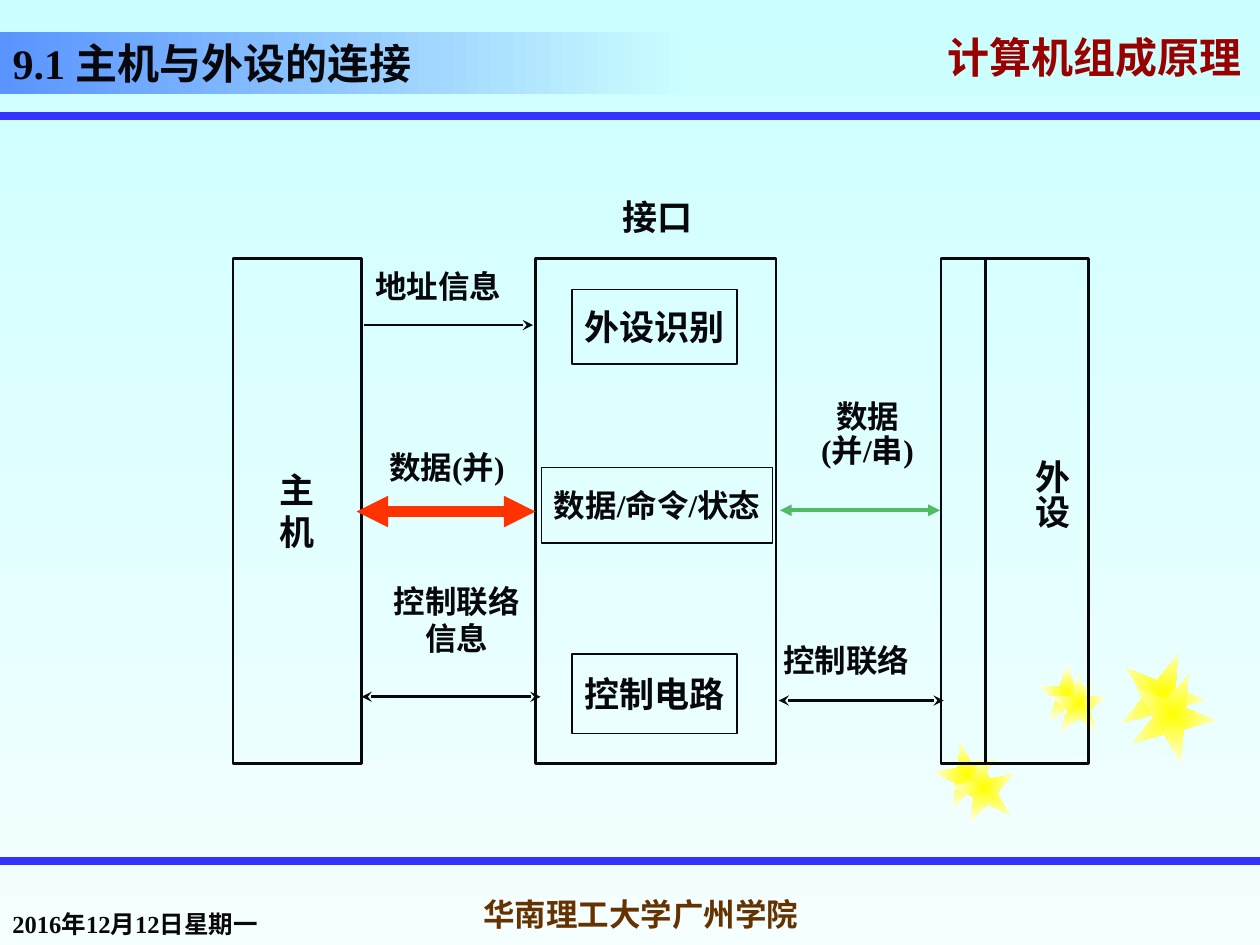
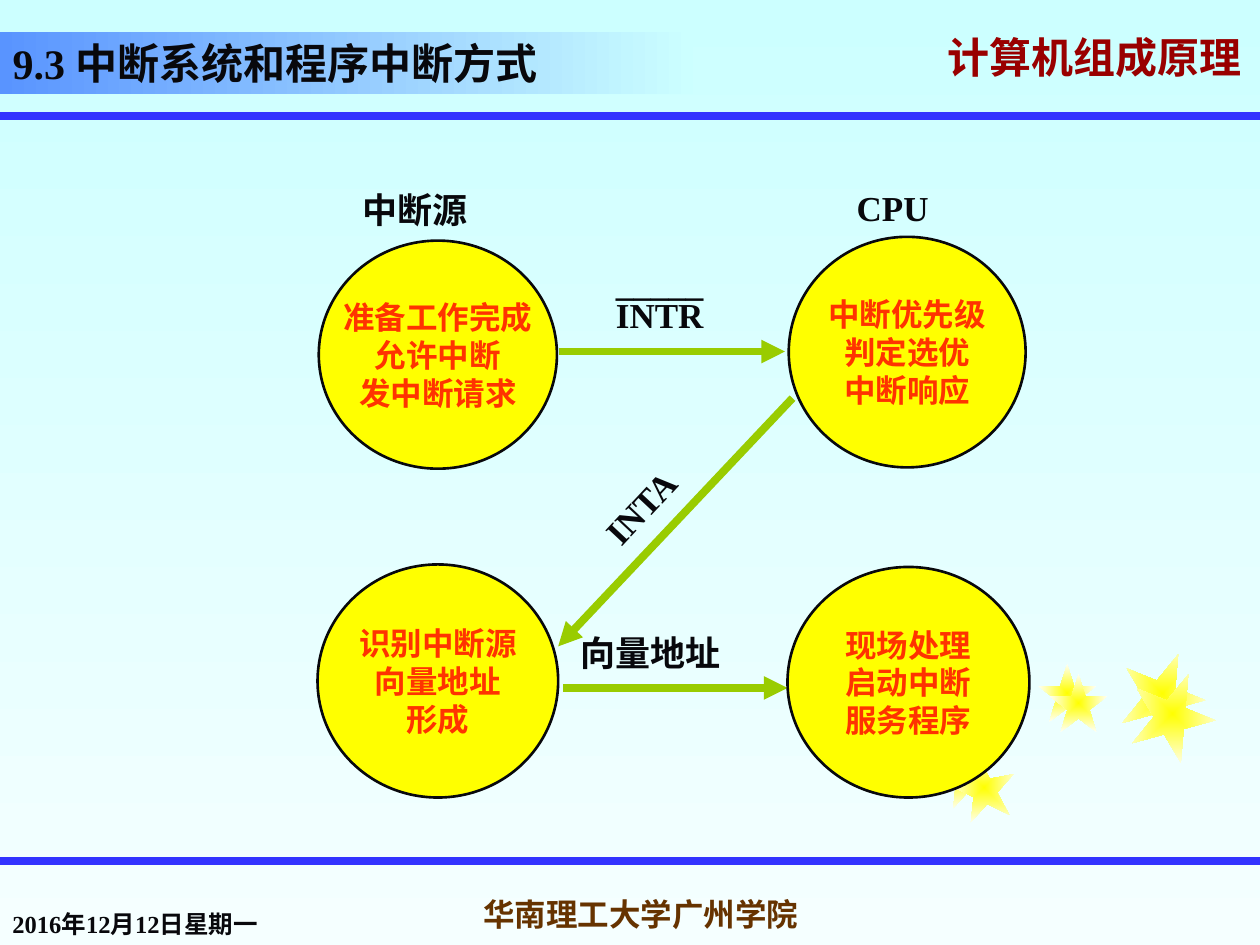
from lxml import etree
from pptx import Presentation
from pptx.dml.color import RGBColor
from pptx.enum.shapes import MSO_CONNECTOR, MSO_SHAPE
from pptx.enum.text import MSO_ANCHOR, MSO_AUTO_SIZE, PP_ALIGN
from pptx.oxml.ns import qn
from pptx.util import Inches, Pt

RECT, OVAL, STAR = MSO_SHAPE.RECTANGLE, MSO_SHAPE.OVAL, MSO_SHAPE.STAR_5_POINT
STRAIGHT = MSO_CONNECTOR.STRAIGHT
LEFT, CENTER, JUSTIFY = PP_ALIGN.LEFT, PP_ALIGN.CENTER, PP_ALIGN.JUSTIFY
TOP, MIDDLE, BOTTOM = MSO_ANCHOR.TOP, MSO_ANCHOR.MIDDLE, MSO_ANCHOR.BOTTOM

INK = RGBColor(0x08, 0x08, 0x0C)
SKY = RGBColor(0xCC, 0xFF, 0xFF)
PALE = RGBColor(0xF5, 0xFF, 0xFF)
BAND_BLUE = RGBColor(0x59, 0x94, 0xFF)
RULE_BLUE = RGBColor(0x33, 0x33, 0xFF)
DARK_RED = RGBColor(0x99, 0x00, 0x00)
BROWN = RGBColor(0x66, 0x33, 0x00)
YELLOW = RGBColor(0xFF, 0xFF, 0x00)
CREAM = RGBColor(0xFF, 0xFF, 0xF5)
RED = RGBColor(0xFF, 0x33, 0x00)
GREEN = RGBColor(0x51, 0xBB, 0x63)
LIME = RGBColor(0x99, 0xCC, 0x00)
LATIN, CJK = "Times New Roman", "Noto Sans CJK SC"


def write(sp, text, size=18, color=INK, align=LEFT, anchor=TOP, wrap=True,
          spacing=None, leading=None, shadow=False):
    tf = sp.text_frame
    tf.auto_size = MSO_AUTO_SIZE.NONE
    tf.word_wrap = wrap
    tf.vertical_anchor = anchor
    for i, words in enumerate(text.split("\n")):
        p = tf.add_paragraph() if i else tf.paragraphs[0]
        p.alignment = align
        if spacing:
            p.line_spacing = spacing
        if i and leading:
            p.line_spacing = leading
            p.space_before = Pt(size / 2)
        r = p.add_run()
        r.text = words
        r.font.size = Pt(size)
        r.font.bold = True
        r.font.color.rgb = color
        rPr = r.font._element
        if shadow:
            effects = etree.SubElement(rPr, qn("a:effectLst"))
            shade = etree.SubElement(effects, qn("a:outerShdw"),
                                     dist="38100", dir="2700000")
            etree.SubElement(shade, qn("a:srgbClr"), val="808080")
        r.font.name = LATIN
        rPr.find(qn("a:latin")).addnext(rPr.makeelement(qn("a:ea"), {"typeface": CJK}))


def line(s, x1, y1, x2, y2, color=INK, width=1.5, head=None, tail=None):
    c = s.shapes.add_connector(STRAIGHT, Inches(x1), Inches(y1), Inches(x2), Inches(y2))
    c.line.color.rgb = color
    c.line.width = Pt(width)
    ln = c.line._get_or_add_ln()
    for tag, kind in (("a:headEnd", head), ("a:tailEnd", tail)):
        if kind:
            etree.SubElement(ln, qn(tag), type=kind)
    etree.SubElement(c._element.spPr, qn("a:effectLst"))


prs = Presentation()
prs.slide_width, prs.slide_height = Inches(10), Inches(7.5)
gradients = [(prs.slide_master.background.fill, SKY, PALE, 270)]

stars = [
    (7.42, 5.89, 0.5, 349), (8.24, 5.27, 0.46, 0), (8.89, 5.17, 0.67, 22),
    (7.56, 6, 0.5, 349), (8.33, 5.35, 0.46, 0), (8.97, 5.33, 0.67, 22),
]
shared_texts = [
    ("计算机组成原理", 7.42, 0.25, 2.58,
     dict(size=24, color=DARK_RED, anchor=MIDDLE, spacing=0.7, shadow=True)),
    ("2016年12月12日星期一", 0, 7, 2.21, dict(size=14, anchor=BOTTOM)),
    ("华南理工大学广州学院", 3.5, 7, 3.17,
     dict(color=BROWN, align=CENTER, anchor=MIDDLE, wrap=False)),
]
slides = []
for heading in ("9.1 主机与外设的连接", "9.3 中断系统和程序中断方式"):
    s = prs.slides.add_slide(prs.slide_layouts[5])
    slides.append(s)
    title = s.shapes.title
    title.left, title.top = Inches(0), Inches(0.25)
    title.width, title.height = Inches(5.5), Inches(0.5)
    gradients.append((title.fill, BAND_BLUE, SKY, 0))
    write(title, heading, size=24, align=JUSTIFY, anchor=BOTTOM)
    for y in (0.92, 6.83):
        line(s, 0, y, 10, y, RULE_BLUE, 4.5)
    for x, y, side, angle in stars:
        sp = s.shapes.add_shape(STAR, Inches(x), Inches(y), Inches(side), Inches(side))
        sp.rotation = angle
        sp.shadow.inherit = False
        sp.line.fill.background()
        gradients.append((sp.fill, YELLOW, CREAM, None))
    for text, x, y, w, fmt in shared_texts:
        sp = s.shapes.add_textbox(Inches(x), Inches(y), Inches(w), Inches(0.5))
        write(sp, text, **fmt)

for fill, start, end, angle in gradients:
    fill.gradient()
    for stop, color in zip(fill.gradient_stops, (start, end)):
        stop.color.rgb = color
    if angle is not None:
        fill.gradient_angle = angle
    else:
        lin = fill._fill._gradFill.find(qn("a:lin"))
        path = lin.makeelement(qn("a:path"), {"path": "shape"})
        etree.SubElement(path, qn("a:fillToRect"), l="50000", t="50000", r="50000", b="50000")
        lin.getparent().replace(lin, path)

s = slides[0]
boxes = [
    ("主\n机", 1.85, 2.05, 1.02, 4.01, 1.5, 20),
    ("", 7.47, 2.05, 1.17, 4.01, 1.5, 20),
    ("", 4.25, 2.05, 1.91, 4.01, 1.5, 20),
    ("外设识别", 4.54, 2.3, 1.31, 0.59, 0.75, 20),
    ("数据/命令/状态", 4.3, 3.71, 1.83, 0.6, 0.75, 18),
    ("控制电路", 4.54, 5.19, 1.31, 0.63, 0.75, 20),
]
for text, x, y, w, h, width, size in boxes:
    sp = s.shapes.add_shape(RECT, Inches(x), Inches(y), Inches(w), Inches(h))
    sp.shadow.inherit = False
    sp.fill.background()
    sp.line.color.rgb = INK
    sp.line.width = Pt(width)
    if text:
        write(sp, text, size=size, align=CENTER, anchor=MIDDLE, wrap=False)

line(s, 7.82, 2.05, 7.82, 6.06)
line(s, 2.89, 2.58, 4.23, 2.58, tail="stealth")
line(s, 2.87, 5.53, 4.29, 5.53, head="stealth", tail="stealth")
line(s, 6.18, 5.56, 7.49, 5.56, head="stealth", tail="stealth")
line(s, 2.83, 4.06, 4.25, 4.06, RED, 6, head="triangle", tail="triangle")
line(s, 6.19, 4.05, 7.46, 4.05, GREEN, 2.25, head="triangle", tail="triangle")

labels = [
    ("接口", 4.84, 1.5, 1.47, 0.43, dict(size=20)),
    ("地址信息", 2.88, 2.07, 1.64, 0.4, {}),
    ("数据(并)", 2.99, 3.51, 1.53, 0.4, {}),
    ("控制联络\n信息", 2.68, 4.57, 1.89, 0.7, dict(align=CENTER, leading=0.5)),
    ("数据\n(并/串)", 6.26, 3.1, 1.25, 0.67, dict(align=CENTER, leading=0.4)),
    ("控制联络", 6.12, 5.04, 1.9, 0.4, {}),
    ("外设", 8.02, 3.55, 0.54, 2.44, dict(size=20)),
]
for text, x, y, w, h, fmt in labels:
    sp = s.shapes.add_textbox(Inches(x), Inches(y), Inches(w), Inches(h))
    write(sp, text, **fmt)
    if h > w:
        sp.text_frame._txBody.bodyPr.set("vert", "eaVert")

s = slides[1]
line(s, 4.47, 5.46, 6.25, 5.46, LIME, 4.5, tail="triangle")
line(s, 6.29, 3.16, 4.43, 5.13, LIME, 4.5, tail="triangle")
line(s, 4.44, 2.79, 6.23, 2.79, LIME, 4.5, tail="triangle")

steps = [
    ("准备工作完成\n允许中断\n发中断请求", 2.53, 1.91, 1.89, 1.81),
    ("中断优先级\n判定选优\n中断响应", 6.26, 1.88, 1.88, 1.83),
    ("识别中断源\n向量地址\n形成", 2.52, 4.48, 1.91, 1.85),
    ("现场处理\n启动中断\n服务程序", 6.25, 4.5, 1.92, 1.83),
]
for text, x, y, w, h in steps:
    sp = s.shapes.add_shape(OVAL, Inches(x), Inches(y), Inches(w), Inches(h))
    sp.shadow.inherit = False
    sp.fill.solid()
    sp.fill.fore_color.rgb = YELLOW
    sp.line.color.rgb = INK
    sp.line.width = Pt(1.5)
    write(sp, text, color=RED, align=CENTER, anchor=MIDDLE, wrap=False)

signals = [
    ("中断源", 2.78, 1.45, 1.66, 0.43, 0, LEFT),
    ("CPU", 6.7, 1.43, 1.59, 0.43, 0, LEFT),
    ("_____\nINTR", 4.79, 2.03, 1.46, 0.67, 0, LEFT),
    ("INTA", 4.58, 3.81, 1, 0.43, 313.1, CENTER),
    ("向量地址", 4.51, 4.96, 1.82, 0.43, 0, LEFT),
]
for text, x, y, w, h, angle, align in signals:
    sp = s.shapes.add_textbox(Inches(x), Inches(y), Inches(w), Inches(h))
    sp.rotation = angle
    write(sp, text, size=20, align=align, leading=0.2)

prs.save("out.pptx")
